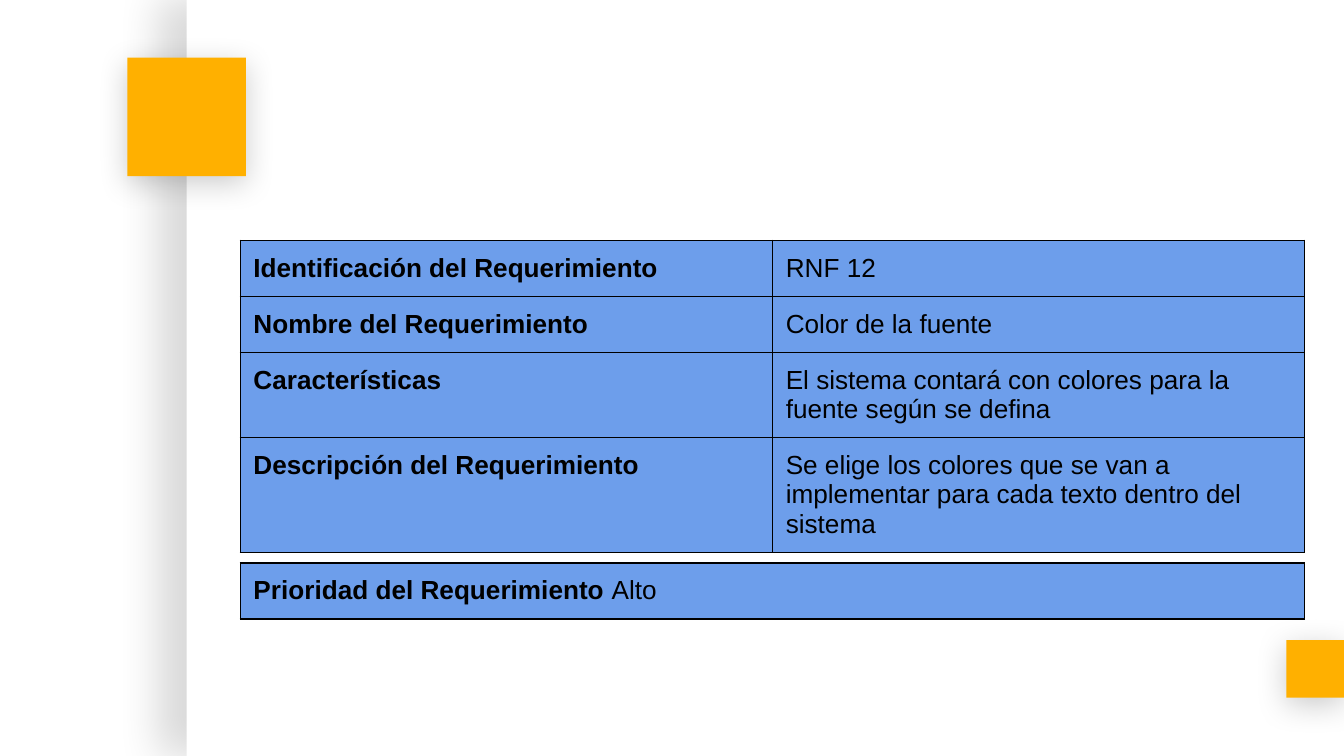
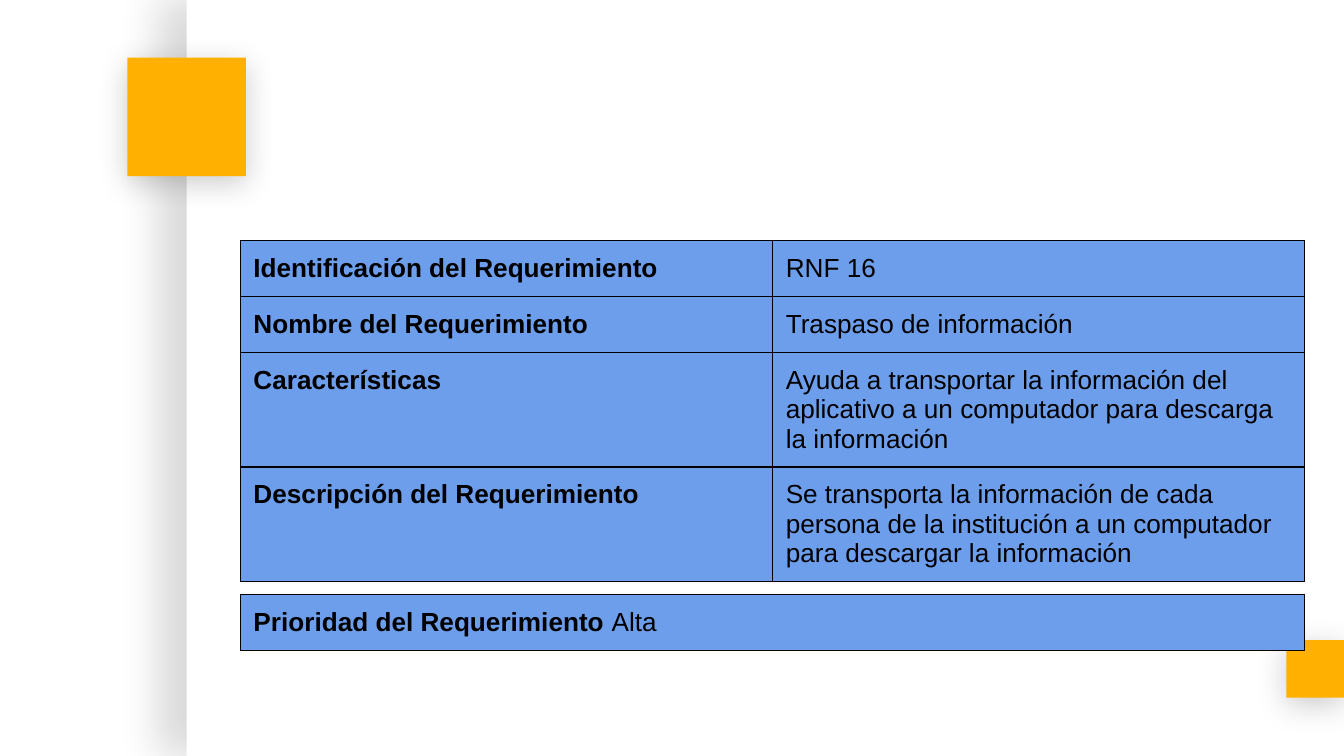
from dataclasses import dataclass

from lxml import etree
from pptx import Presentation
from pptx.dml.color import RGBColor
from pptx.enum.shapes import MSO_SHAPE
from pptx.oxml.ns import qn
from pptx.util import Cm, Pt

RECT = MSO_SHAPE.RECTANGLE
FONT = "Arial"
COLORS = {"white": "FFFFFF", "amber": "FFB000", "blue": "6D9EEB", "black": "000000"}

# Lengths in centimetres
SLIDE_W, SLIDE_H = 25.4, 14.29
PANEL_LEFT = 3.53
BIG, SMALL = 2.24, 1.09
TABLE_LEFT, TABLE_TOP = 4.54, 4.54
COL_W, ROW_H = 10.06, 1.06
CELL_MARGIN = 0.25

LABELS = (
    "Identificación del Requerimiento",
    "Nombre del Requerimiento",
    "Características",
    "Descripción del Requerimiento",
)
PRIORITY_LABEL = "Prioridad del Requerimiento "


@dataclass(frozen=True)
class Shadow:
    alpha: int  # percent
    blur: float  # points
    dist: float  # points
    angle: int  # degrees


@dataclass(frozen=True)
class Block:
    left: float
    top: float
    width: float
    height: float
    color: str
    shadow: Shadow


@dataclass(frozen=True)
class Requirement:
    values: tuple[str, ...]
    priority: str
    priority_top: float


@dataclass(frozen=True)
class Text:
    text: str
    bold: bool = False


PANEL_SHADOW = Shadow(15, 22.5, 15, 180)
SQUARE_SHADOW = Shadow(20, 16.9, 3.8, 90)

# White panel, corner square and the square centred on the panel edge
BACKDROP = (
    Block(PANEL_LEFT, 0, SLIDE_W - PANEL_LEFT, SLIDE_H, "white", PANEL_SHADOW),
    Block(SLIDE_W - SMALL, 12.1, SMALL, SMALL, "amber", SQUARE_SHADOW),
    Block(PANEL_LEFT - BIG / 2, 1.09, BIG, BIG, "amber", SQUARE_SHADOW),
)

REQUIREMENTS = (
    Requirement(
        (
            "RNF 12",
            "Color de la fuente",
            "El sistema contará con colores para la fuente según se defina",
            "Se elige los colores que se van a implementar para cada texto dentro del sistema",
        ),
        "Alto",
        10.64,
    ),
    Requirement(
        (
            "RNF 16",
            "Traspaso de información",
            "Ayuda a transportar la información del aplicativo a un computador "
            "para descarga la información",
            "Se transporta la información de cada persona de la institución "
            "a un computador para descargar la información",
        ),
        "Alta",
        11.23,
    ),
)


def rgb(name: str) -> RGBColor:
    return RGBColor.from_string(COLORS[name])


def add_color(parent, name: str):
    return etree.SubElement(parent, qn("a:srgbClr"), val=COLORS[name])


def add_block(s, block: Block) -> None:
    sp = s.shapes.add_shape(
        RECT, Cm(block.left), Cm(block.top), Cm(block.width), Cm(block.height)
    )
    sp.fill.solid()
    sp.fill.fore_color.rgb = rgb(block.color)
    sp.line.fill.background()
    # Soft outer shadow
    sp.shadow.inherit = False
    effects = sp._element.spPr.find(qn("a:effectLst"))
    outer = etree.SubElement(
        effects,
        qn("a:outerShdw"),
        blurRad=str(Pt(block.shadow.blur)),
        dist=str(Pt(block.shadow.dist)),
        dir=str(block.shadow.angle * 60000),
        algn="bl",
        rotWithShape="0",
    )
    color = add_color(outer, "black")
    etree.SubElement(color, qn("a:alpha"), val=str(block.shadow.alpha * 1000))


def fill_cell(cell, texts: list[Text]) -> None:
    # Borders come before the fill
    tc_pr = cell._tc.get_or_add_tcPr()
    for side in ("a:lnL", "a:lnR", "a:lnT", "a:lnB"):
        ln = etree.SubElement(tc_pr, qn(side), w=str(Pt(0.75)))
        add_color(etree.SubElement(ln, qn("a:solidFill")), "black")
    cell.fill.solid()
    cell.fill.fore_color.rgb = rgb("blue")
    cell.margin_left = cell.margin_right = Cm(CELL_MARGIN)
    cell.margin_top = cell.margin_bottom = Cm(CELL_MARGIN)
    p = cell.text_frame.paragraphs[0]
    for item in texts:
        r = p.add_run()
        r.text = item.text
        r.font.name = FONT
        r.font.size = Pt(14)
        r.font.bold = item.bold
        r.font.color.rgb = rgb("black")


def add_grid(s, top: float, col_w: float, rows: list[list[list[Text]]]) -> None:
    n_rows, n_cols = len(rows), len(rows[0])
    table = s.shapes.add_table(
        n_rows, n_cols, Cm(TABLE_LEFT), Cm(top), Cm(col_w * n_cols), Cm(ROW_H * n_rows)
    ).table
    table.first_row = table.horz_banding = False
    for i, row in enumerate(rows):
        for j, texts in enumerate(row):
            fill_cell(table.cell(i, j), texts)


def add_requirement(prs, req: Requirement) -> None:
    s = prs.slides.add_slide(prs.slide_layouts[6])
    s.background.fill.solid()
    s.background.fill.fore_color.rgb = rgb("white")
    for block in BACKDROP:
        add_block(s, block)
    # Details in two columns, priority in one wide row
    details = [
        [[Text(label, True)], [Text(value)]] for label, value in zip(LABELS, req.values)
    ]
    add_grid(s, TABLE_TOP, COL_W, details)
    priority = [Text(PRIORITY_LABEL, True), Text(req.priority)]
    add_grid(s, req.priority_top, 2 * COL_W, [[priority]])


def main() -> None:
    prs = Presentation()
    prs.slide_width, prs.slide_height = Cm(SLIDE_W), Cm(SLIDE_H)
    for req in REQUIREMENTS:
        add_requirement(prs, req)
    prs.save("out.pptx")


if __name__ == "__main__":
    main()
